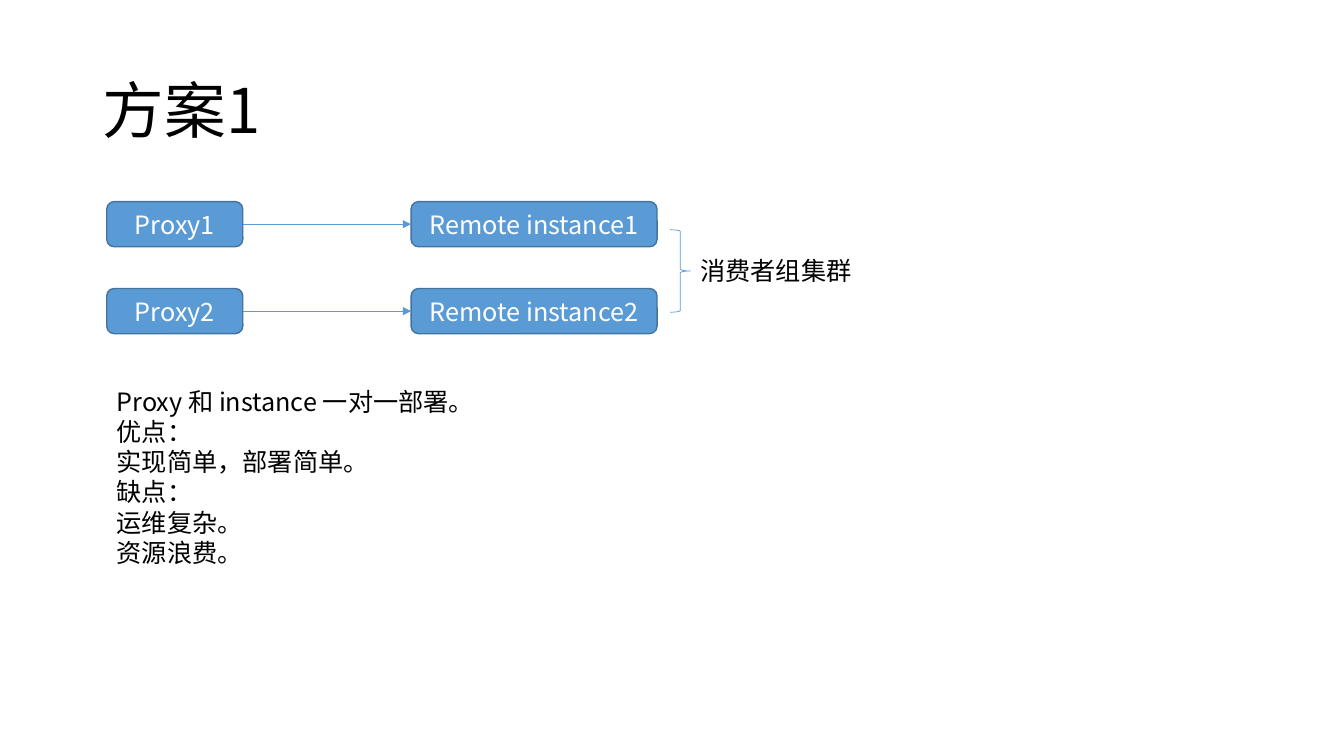
from lxml import etree
from pptx import Presentation
from pptx.dml.color import RGBColor
from pptx.enum import shapes as kinds, text as txt
from pptx.oxml import ns
from pptx.util import Cm, Pt

TITLE = "方案1"
PAIRS = [("Proxy1", "Remote instance1"), ("Proxy2", "Remote instance2")]
GROUP = "消费者组集群"
NOTES = [
    "Proxy 和 instance 一对一部署。",
    "优点：",
    "实现简单，部署简单。",
    "缺点：",
    "运维复杂。",
    "资源浪费。",
]
FONT = "Noto Sans CJK SC"
BLUE = RGBColor(0x5B, 0x9B, 0xD5)
EDGE = RGBColor(0x43, 0x73, 0x9E)
BLACK = RGBColor(0, 0, 0)
WHITE = RGBColor(255, 255, 255)
COLS = [(2.69, 3.43), (10.36, 6.2)]
TOP, STEP, HIGH = 5.08, 2.19, 1.14


def write(frame, lines, size=18, color=BLACK, align=txt.PP_ALIGN.LEFT):
    frame.text = "\n".join(lines)
    for para in frame.paragraphs:
        para.alignment = align
        font = para.font
        font.name, font.size = FONT, Pt(size)
        font.color.rgb = color
        for props in para._p.iter(ns.qn("a:defRPr")):
            etree.SubElement(props, ns.qn("a:ea"), typeface=FONT)


def add_box(slide, label, left, top, width):
    box = slide.shapes.add_shape(
        kinds.MSO_SHAPE.ROUNDED_RECTANGLE, Cm(left), Cm(top), Cm(width), Cm(HIGH))
    box.shadow.inherit = False
    box.fill.solid()
    box.fill.fore_color.rgb = BLUE
    box.line.color.rgb = EDGE
    box.line.width = Pt(1)
    box.text_frame.vertical_anchor = txt.MSO_ANCHOR.MIDDLE
    write(box.text_frame, [label], color=WHITE, align=txt.PP_ALIGN.CENTER)
    return box


def add_arrow(slide, start, end):
    arrow = slide.shapes.add_connector(kinds.MSO_CONNECTOR.STRAIGHT, 0, 0, 0, 0)
    arrow.begin_connect(start, 3)
    arrow.end_connect(end, 1)
    arrow.line.color.rgb = BLUE
    arrow.line.width = Pt(0.5)
    etree.SubElement(arrow.line._get_or_add_ln(), ns.qn("a:tailEnd"), type="triangle")
    etree.SubElement(arrow._element.spPr, ns.qn("a:effectLst"))


def add_text(slide, lines, left, top, width, height, wrap):
    frame = slide.shapes.add_textbox(Cm(left), Cm(top), Cm(width), Cm(height)).text_frame
    frame.word_wrap = wrap
    write(frame, lines)


def main():
    deck = Presentation()
    deck.slide_width, deck.slide_height = Cm(33.87), Cm(19.05)
    slide = deck.slides.add_slide(deck.slide_layouts[5])

    title = slide.shapes.title
    title.left, title.top, title.width, title.height = Cm(2.34), Cm(1.02), Cm(29.21), Cm(3.68)
    title.text_frame.vertical_anchor = txt.MSO_ANCHOR.MIDDLE
    write(title.text_frame, [TITLE], size=44)
    title.text_frame.paragraphs[0].line_spacing = 0.9

    for row, pair in enumerate(PAIRS):
        proxy, remote = [
            add_box(slide, label, left, TOP + row * STEP, width)
            for label, (left, width) in zip(pair, COLS)]
        add_arrow(slide, proxy, remote)

    add_text(slide, NOTES, 2.69, 9.6, 9.3, 4.88, True)

    brace = slide.shapes.add_shape(
        kinds.MSO_SHAPE.RIGHT_BRACE, Cm(16.89), Cm(5.79), Cm(0.51), Cm(2.08))
    brace.shadow.inherit = False
    brace.fill.background()
    brace.line.color.rgb = BLUE
    brace.line.width = Pt(0.5)
    add_text(slide, [GROUP], 17.4, 6.32, 4.37, 1.02, False)

    deck.save("out.pptx")


if __name__ == "__main__":
    main()
